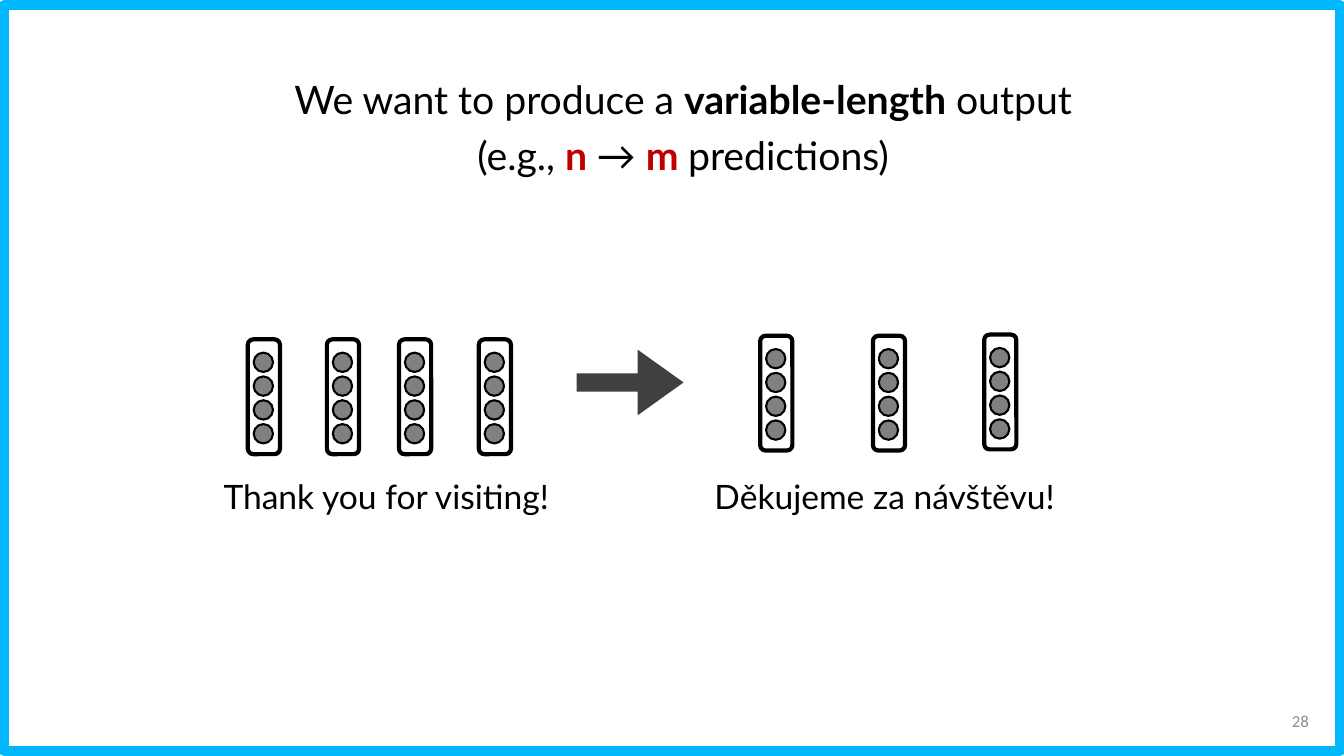
from dataclasses import dataclass

from pptx import Presentation
from pptx.dml.color import RGBColor as RGB
from pptx.enum.shapes import MSO_SHAPE as Kind
from pptx.enum.text import MSO_ANCHOR as Anchor, MSO_AUTO_SIZE as Auto, PP_ALIGN as Align
from pptx.util import Pt


@dataclass(frozen=True)
class Theme:
    ink: str = "000000"
    paper: str = "FFFFFF"
    edge: str = "00B6FC"
    red: str = "C00000"
    dot: str = "808080"
    arrow: str = "404040"
    page: str = "8C8C8C"
    body: str = "Lato"
    plain: str = "Calibri"
    title: int = 28
    label: int = 24
    small: int = 12


def assign(item, values):
    for name, value in values.items():
        setattr(item, name, value)


class Canvas:
    def __init__(self, slide, theme):
        self.slide = slide
        self.theme = theme

    def shape(self, kind, box, fill=None, line=None, width=0, home=None, adjust=()):
        home = home or self.slide
        item = home.shapes.add_shape(kind, *map(Pt, box))
        item.shadow.inherit = False
        for i, value in enumerate(adjust):
            item.adjustments[i] = value
        if fill:
            item.fill.solid()
            item.fill.fore_color.rgb = RGB.from_string(fill)
        else:
            item.fill.background()
        if line:
            item.line.color.rgb = RGB.from_string(line)
            item.line.width = Pt(width)
        else:
            item.line.fill.background()

    def text(self, box, lines, size, font=None, frame=None, para=None):
        area = self.slide.shapes.add_textbox(*map(Pt, box)).text_frame
        assign(area, {"word_wrap": True, **(frame or {})})
        block = area.paragraphs[0]
        assign(block, para or {})
        for i, line in enumerate(lines):
            if i:
                block.add_line_break()
            for words, color, bold in line:
                run = block.add_run()
                run.text = words
                assign(run.font, {"size": Pt(size), "name": font or self.theme.body, "bold": bold})
                run.font.color.rgb = RGB.from_string(color)

    def vector(self, left, top):
        look = self.theme
        group = self.slide.shapes.add_group_shape()
        self.shape(Kind.ROUNDED_RECTANGLE, (left, top, 23, 82), None, look.ink, 3, group)
        for i in range(4):
            spot = (left + 4.2, top + 9.5 + 17 * i, 13.8, 13.8)
            self.shape(Kind.OVAL, spot, look.dot, look.ink, 1.5, group)


def main():
    deck = Presentation()
    assign(deck, {"slide_width": Pt(960), "slide_height": Pt(540)})
    look = Theme()
    page = Canvas(deck.slides.add_slide(deck.slide_layouts[6]), look)
    page.shape(Kind.RECTANGLE, (3, 3.6, 954, 533), look.paper, look.edge, 7)
    page.text((726, 500.4, 216, 28.8), [[("28", look.page, False)]], look.small, look.plain,
              {"vertical_anchor": Anchor.MIDDLE}, {"alignment": Align.RIGHT})

    title = [
        [("We want to produce a ", look.ink, False), ("variable-length", look.ink, True),
         (" output", look.ink, False)],
        [("(e.g., ", look.ink, False), ("n ", look.red, True), ("→ ", look.ink, False),
         ("m ", look.red, True), ("predictions)", look.ink, False)],
    ]
    page.text((192, 43.2, 592, 108), title, look.title,
              para={"alignment": Align.CENTER, "line_spacing": 1.2, "space_before": Pt(10)})

    for left, words in ((152.6, "Thank you for visiting!"), (503.3, "Děkujeme za návštěvu!")):
        page.text((left, 336.2, 276.5, 36), [[(words, look.ink, False)]], look.label,
                  frame={"auto_size": Auto.SHAPE_TO_FIT_TEXT})

    for left in (177, 233.5, 285, 342):
        page.vector(left, 242.4)
    for left, top in ((543, 239.8), (623.5, 239.8), (703, 239)):
        page.vector(left, top)
    page.shape(Kind.RIGHT_ARROW, (412, 249.8, 76.3, 46.8), look.arrow, adjust=(0.28, 0.7))
    deck.save("out.pptx")


if __name__ == "__main__":
    main()
